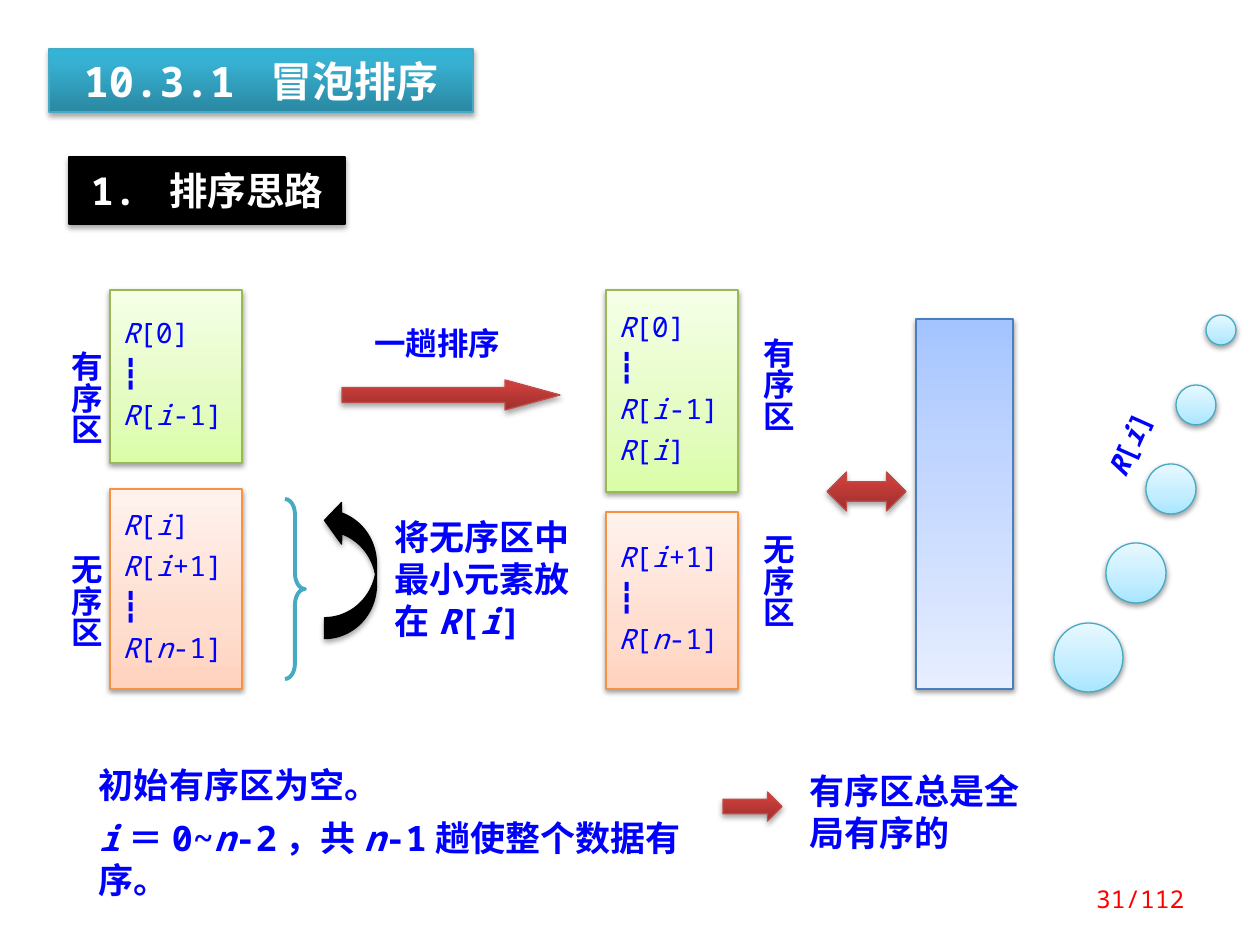
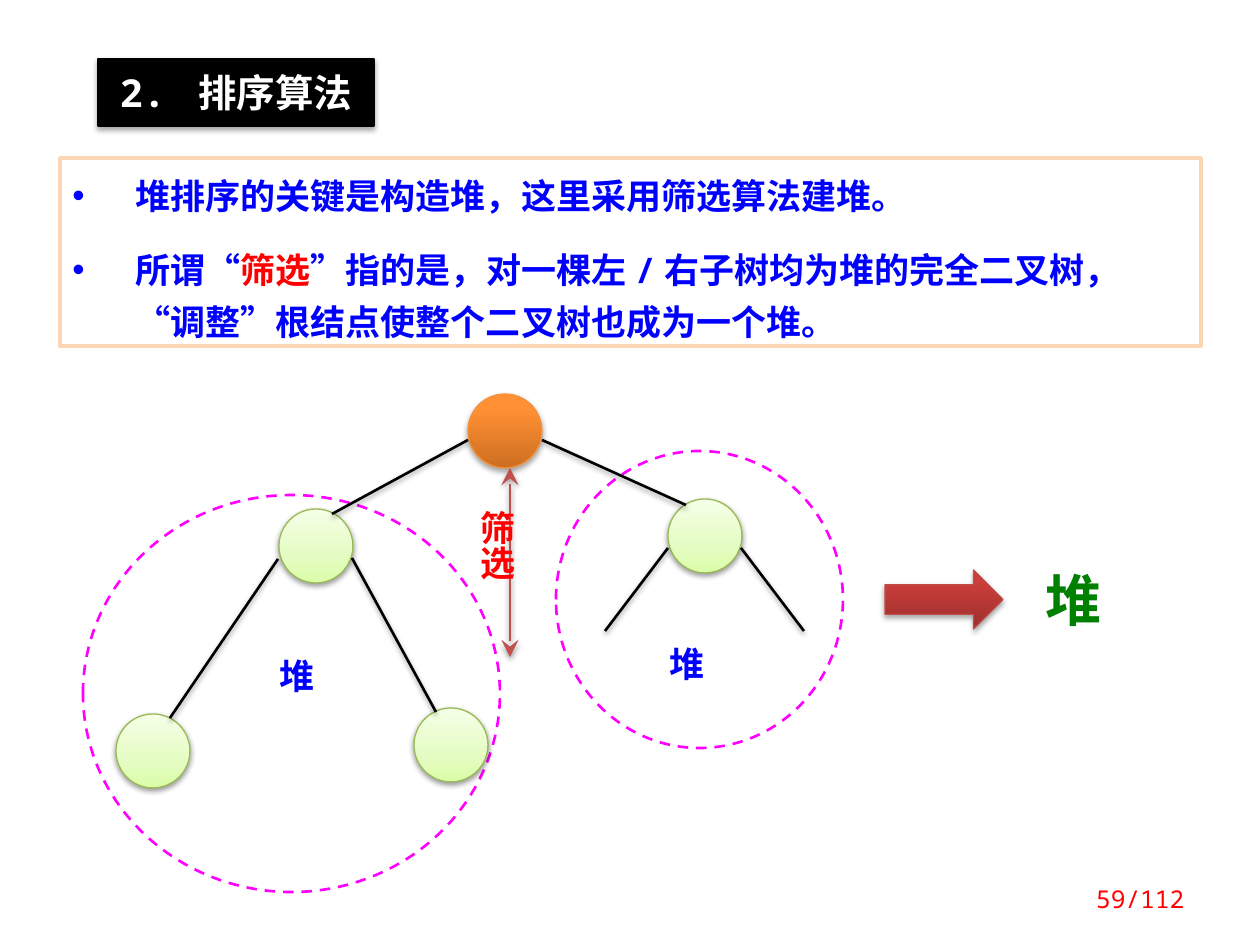
from lxml.etree import SubElement
from pptx import Presentation
from pptx.dml.color import RGBColor
from pptx.enum.dml import MSO_LINE
from pptx.enum.shapes import MSO_CONNECTOR, MSO_SHAPE as SHAPE
from pptx.enum.text import MSO_ANCHOR as ANCHOR, MSO_AUTO_SIZE as AUTO, PP_ALIGN as ALIGN
from pptx.oxml.ns import qn
from pptx.util import Emu, Pt

MONO, SANS = "Noto Sans Mono", "Noto Sans CJK SC"
BLUE, RED, GREEN = "0000FF", "FF0000", "008000"
BLACK, WHITE, MAGENTA, BRICK = "000000", "FFFFFF", "FF00FF", "C0504D"
ITALIC = {"italic": True}

# Shadow: opacity in percent and distance in EMU
STRONG, SOFT = (35, 23000), (38, 20000)


def theme(stops, line, shadow, angle=90):
    return {"fill": stops, "line": line, "shadow": shadow, "angle": angle}


TEAL = theme({0: "2A88A2", 80: "37B1D2", 100: "34B4D6"}, "46AAC5", STRONG)
CRIMSON = theme({0: "9C2F2D", 80: "CB3E3A", 100: "CE3B37"}, "BF4C48", STRONG)
ORANGE = theme({0: "CC6E20", 80: "FF9034", 100: "FF9136"}, "F69240", STRONG)
LIME = theme({0: "DAFDA7", 35: "E4FCC2", 100: "F5FFE7"}, "98B955", SOFT)
PEACH = theme({0: "FFD2BD", 35: "FFDED0", 100: "FFF2ED"}, "F69240", SOFT)
SKY = theme({0: "A7E6FF", 35: "C1EDFF", 100: "E7F8FF"}, "46AAC5", SOFT)
STEEL = theme({0: "A4C4FF", 35: "BFD4FF", 100: "E6EEFF"}, "4B7EBC", SOFT, 270)
INK = theme(BLACK, BLACK, STRONG)
PAPER = theme(WHITE, None, None)


def px(length):
    return Emu(round(length * 914400 / 126))


def rgb(color):
    return RGBColor.from_string(color)


def add_shadow(effects, opacity, distance):
    outer = SubElement(effects, qn("a:outerShdw"), blurRad="40000",
                       dist=str(distance), dir="5400000", rotWithShape="0")
    color = SubElement(outer, qn("a:srgbClr"), val=BLACK)
    SubElement(color, qn("a:alpha"), val=str(opacity * 1000))


def paint(shape, fill, angle):
    """Fill with nothing, one colour, or a gradient given as {percent: colour}."""
    if fill is None:
        shape.fill.background()
    elif isinstance(fill, str):
        shape.fill.solid()
        shape.fill.fore_color.rgb = rgb(fill)
    else:
        shape.fill.gradient()
        shape.fill.gradient_angle = angle
        stops = shape.element.spPr.find(".//" + qn("a:gsLst"))
        stops.clear()
        for percent, color in fill.items():
            stop = SubElement(stops, qn("a:gs"), pos=str(percent * 1000))
            SubElement(stop, qn("a:srgbClr"), val=color)


def draw(slide, kind, box, look, weight=0.75, dash=None, adjust=(), rotation=0):
    shape = slide.shapes.add_shape(kind, *map(px, box))
    shape.rotation = rotation
    for index, value in enumerate(adjust):
        shape.adjustments[index] = value
    paint(shape, look["fill"], look["angle"])
    if look["line"]:
        shape.line.color.rgb = rgb(look["line"])
        shape.line.width = Pt(weight)
        shape.line.dash_style = dash
    else:
        shape.line.fill.background()
    shape.shadow.inherit = False
    if look["shadow"]:
        add_shadow(shape.element.spPr.find(qn("a:effectLst")), *look["shadow"])
    return shape


def link(slide, start, end, color=BLACK, arrows=False):
    edge = slide.shapes.add_connector(MSO_CONNECTOR.STRAIGHT, *map(px, start + end))
    edge.line.color.rgb = rgb(color)
    edge.line.width = Pt(1.5)
    if arrows:
        for tip in ("a:headEnd", "a:tailEnd"):
            SubElement(edge.line._get_or_add_ln(), qn(tip), type="stealth",
                       w="lg", len="lg")
    add_shadow(SubElement(edge.element.spPr, qn("a:effectLst")), *SOFT)


def add_bullet(paragraph):
    props = paragraph._p.get_or_add_pPr()
    props.set("marL", "457200")
    props.set("indent", "-457200")
    SubElement(props, qn("a:buFont"), typeface="Arial")
    SubElement(props, qn("a:buChar"), char="•")


def write(shape, lines, size, color=BLUE, font=MONO, asian=None, bold=True,
          accent=ITALIC, align=ALIGN.LEFT, spacing=None, before=0, bullets=False,
          **frame_format):
    """Write one paragraph per line; parts between asterisks get the accent."""
    frame = shape.text_frame
    frame_format = {"word_wrap": True, "vertical_anchor": ANCHOR.TOP, **frame_format}
    for name, value in frame_format.items():
        setattr(frame, name, value)
    for number, line in enumerate(lines):
        paragraph = frame.paragraphs[0] if number == 0 else frame.add_paragraph()
        if bullets:
            add_bullet(paragraph)
        paragraph.alignment = align
        paragraph.line_spacing = spacing
        paragraph.space_before = Pt(before if number else 0)
        for order, part in enumerate(line.split("*")):
            if not part:
                continue
            run = paragraph.add_run()
            run.text = part
            look = {"name": font, "size": Pt(size), "bold": bold, "color": color}
            look.update(accent if order % 2 else {})
            run.font.color.rgb = rgb(look.pop("color"))
            for name, value in look.items():
                setattr(run.font, name, value)
            SubElement(run._r.get_or_add_rPr(), qn("a:ea"), typeface=asian or font)


def label(slide, box, text, size, upright=False, rotation=0, **text_format):
    note = slide.shapes.add_textbox(*map(px, box))
    note.rotation = rotation
    if upright:
        note.text_frame._txBody.bodyPr.set("vert", "eaVert")
    write(note, [text], size, **{"auto_size": AUTO.SHAPE_TO_FIT_TEXT, **text_format})


def chapter_title(slide, text):
    band = draw(slide, SHAPE.RECTANGLE, (49, 49, 424, 63), TEAL)
    write(band, [text], 24, WHITE, align=ALIGN.CENTER, auto_size=AUTO.SHAPE_TO_FIT_TEXT)


def section_tag(slide, left, top, text):
    tag = draw(slide, SHAPE.RECTANGLE, (left, top, 276, 67), INK)
    write(tag, [text], 22, WHITE, align=ALIGN.CENTER, margin_top=px(10),
          margin_bottom=px(10), auto_size=AUTO.SHAPE_TO_FIT_TEXT)


def page_number(slide, number):
    label(slide, (1043, 874, 154, 50), f"{number}/112", 14, color=RED, bold=False,
          align=ALIGN.RIGHT, vertical_anchor=ANCHOR.MIDDLE, auto_size=AUTO.NONE)


def record_zone(slide, left, top, height, look, records):
    zone = draw(slide, SHAPE.RECTANGLE, (left, top, 132, height), look)
    write(zone, records, 16, bold=False, spacing=0.8, before=8,
          word_wrap=False, vertical_anchor=ANCHOR.MIDDLE)


def records_before(slide, left, top):
    record_zone(slide, left, top, 173, LIME, ["*R*[0]", "┇", "*R*[*i*-1]"])
    record_zone(slide, left, top + 199, 200, PEACH,
                ["*R*[*i*]", "*R*[*i*+1]", "┇", "*R*[*n*-1]"])
    for text, offset in (("有序区", 49), ("无序区", 252)):
        label(slide, (left - 61, top + offset, 55, 149), text, 18,
              upright=True, spacing=0.8)


def records_after(slide, left, top):
    record_zone(slide, left, top, 202, LIME,
                ["*R*[0]", "┇", "*R*[*i*-1]", "*R*[*i*]"])
    record_zone(slide, left, top + 222, 177, PEACH,
                ["*R*[*i*+1]", "┇", "*R*[*n*-1]"])
    for text, offset, height in (("有序区", 35, 129), ("无序区", 232, 149)):
        label(slide, (left + 134, top + offset, 63, height), text, 18, upright=True)


def sorting_pass(slide, left, top):
    label(slide, (left + 76, top, 160, 43), "一趟排序", 18, spacing=0.8)
    draw(slide, SHAPE.RIGHT_ARROW, (left + 56, top + 55, 218, 30), CRIMSON,
         adjust=(0.5, 1.83))
    draw(slide, SHAPE.RIGHT_BRACE, (left - 1, top + 174, 20, 180),
         theme(None, "46AAC5", None), weight=2.25, adjust=(0.78, 0.5))
    draw(slide, SHAPE.CURVED_UP_ARROW, (left - 5, top + 218, 139, 52), INK,
         adjust=(0.4, 0.8, 0.33), rotation=270)
    label(slide, (left + 96, top + 184, 208, 140), "将无序区中最小元素放在*R*[*i*]", 20)


def bubble_analogy(slide, left, top):
    """Tank with bubbles that shrink as they rise."""
    draw(slide, SHAPE.RECTANGLE, (left + 89, top + 4, 97, 370), STEEL)
    draw(slide, SHAPE.LEFT_RIGHT_ARROW, (left, top + 157, 79, 39), CRIMSON)
    bubbles = ((227, 308, 69), (279, 228, 60), (319, 149, 50), (349, 70, 40), (379, 0, 30))
    for x, y, size in bubbles:
        draw(slide, SHAPE.OVAL, (left + x, top + y, size, size), SKY)
    label(slide, (left + 255, top + 111, 100, 40), "*R*[*i*]", 16, rotation=294,
          align=ALIGN.CENTER, spacing=0.8)


def conclusion(slide, left, top):
    summary = draw(slide, SHAPE.RECTANGLE, (left, top, 620, 126), PAPER)
    write(summary, ["初始有序区为空。", "*i*＝0~*n*-2，共*n*-1趟使整个数据有序。"], 20,
          before=6, margin_left=px(20), margin_top=px(15), margin_bottom=px(15),
          auto_size=AUTO.SHAPE_TO_FIT_TEXT)
    draw(slide, SHAPE.RIGHT_ARROW, (left + 644, top + 43, 59, 29), CRIMSON)
    label(slide, (left + 718, top + 14, 246, 97), "有序区总是全局有序的", 20)


def bubble_sort_slide(slide):
    chapter_title(slide, "10.3.1 冒泡排序")
    section_tag(slide, 69, 157, "1. 排序思路")
    records_before(slide, 110, 290)
    sorting_pass(slide, 286, 325)
    records_after(slide, 606, 290)
    bubble_analogy(slide, 827, 315)
    conclusion(slide, 79, 749)
    page_number(slide, 31)


def node(slide, left, top, look=LIME):
    draw(slide, SHAPE.OVAL, (left, top, 74, 74), look)


def subheap(slide, box, nodes, edges, name_at):
    """Dashed circle around a subtree; inner points are relative to its box."""
    left, top = box[:2]
    draw(slide, SHAPE.OVAL, box, theme(None, MAGENTA, None), 1.5, MSO_LINE.DASH)
    for x, y in nodes:
        node(slide, left + x, top + y)
    for x1, y1, x2, y2 in edges:
        link(slide, (left + x1, top + y1), (left + x2, top + y2))
    label(slide, (left + name_at[0], top + name_at[1], 60, 47), "堆", 20, font=SANS,
          spacing=0.8, word_wrap=False)


def sifting_notes(slide, box):
    panel = draw(slide, SHAPE.RECTANGLE, box, theme(WHITE, "FCD5B5", None), weight=2)
    write(panel, ["堆排序的关键是构造堆，这里采用筛选算法建堆。",
                  "所谓“*筛选*”指的是，对一棵左/右子树均为堆的完全二叉树，"
                  "“调整”根结点使整个二叉树也成为一个堆。"],
          20, asian=SANS, accent={"color": RED}, spacing=Pt(30), before=12,
          bullets=True, auto_size=AUTO.SHAPE_TO_FIT_TEXT)


def sifted_root(slide, left, top):
    node(slide, left, top, ORANGE)
    link(slide, (left, top + 46), (left - 136, top + 120))
    link(slide, (left + 74, top + 46), (left + 218, top + 111))
    link(slide, (left + 42, top + 74), (left + 42, top + 263), BRICK, arrows=True)
    label(slide, (left - 11, top + 104, 59, 111), "筛选", 20, upright=True,
          color=RED, font=SANS, spacing=0.8)


def resulting_heap(slide, left, top):
    draw(slide, SHAPE.RIGHT_ARROW, (left, top + 11, 118, 59), CRIMSON)
    label(slide, (left + 148, top, 118, 79), "堆", 32, color=GREEN)


def heap_sort_slide(slide):
    sifting_notes(slide, (60, 158, 1141, 188))
    subheap(slide, (556, 451, 287, 297), nodes=[(112, 48)],
            edges=[(112, 97, 49, 180), (185, 97, 248, 180)], name_at=(101, 193))
    subheap(slide, (83, 495, 417, 397), nodes=[(196, 14), (33, 219), (331, 213)],
            edges=[(195, 64, 87, 223), (269, 63, 353, 217)], name_at=(184, 161))
    sifted_root(slide, 468, 394)
    resulting_heap(slide, 885, 559)
    section_tag(slide, 98, 59, "2. 排序算法")
    page_number(slide, 59)


def main():
    deck = Presentation()
    deck.slide_width, deck.slide_height = px(1260), px(945)
    for build in (bubble_sort_slide, heap_sort_slide):
        build(deck.slides.add_slide(deck.slide_layouts[6]))
    deck.save("out.pptx")


if __name__ == "__main__":
    main()
